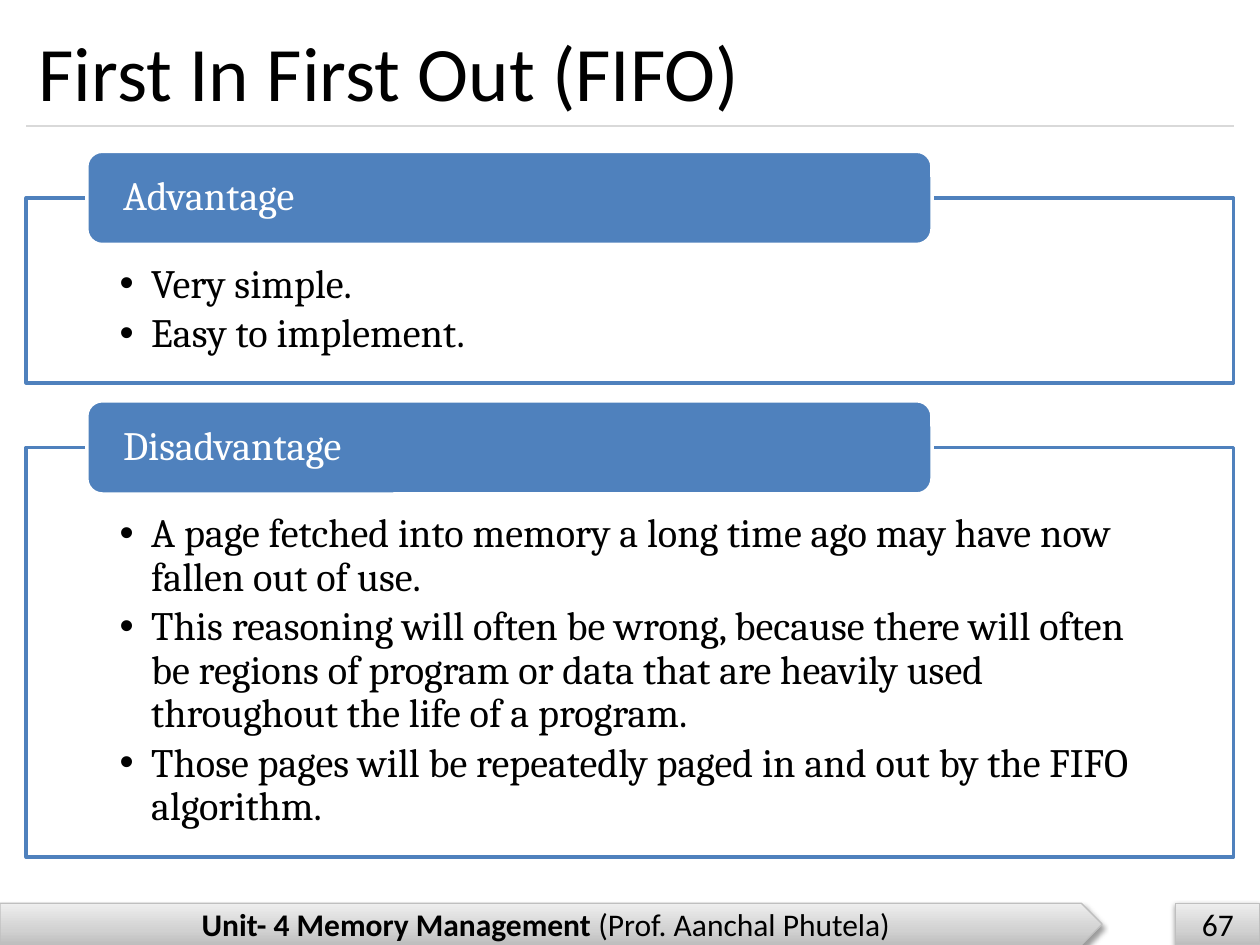
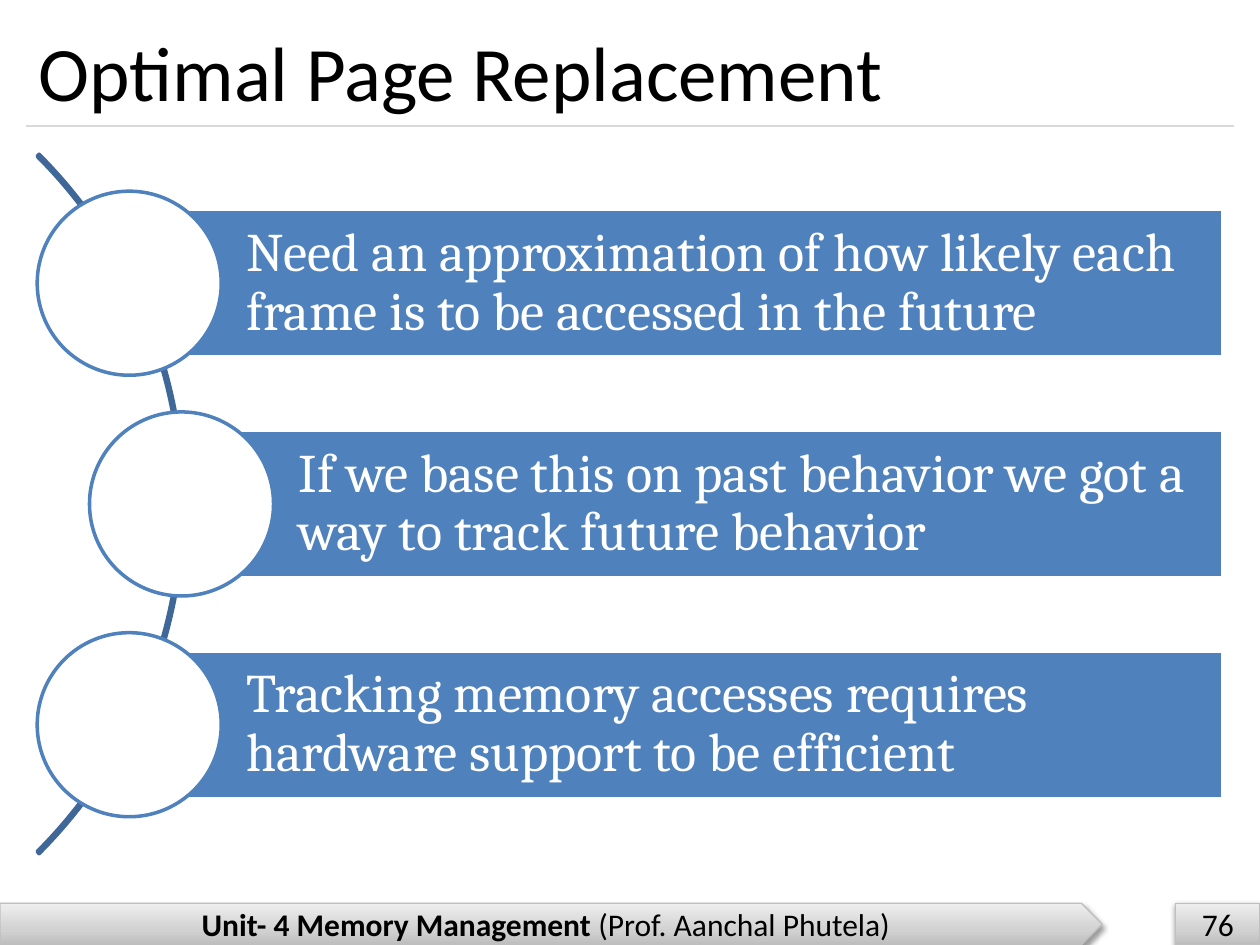
from math import sqrt

from lxml.etree import SubElement
from pptx import Presentation
from pptx.dml.color import RGBColor
from pptx.enum.shapes import MSO_CONNECTOR, MSO_SHAPE as Shape
from pptx.enum.text import MSO_ANCHOR as Anchor, PP_ALIGN as Align
from pptx.oxml.ns import qn
from pptx.util import Cm, Pt

# Content
FOOTER = [("Unit- 4 Memory Management ", True), ("(Prof. Aanchal Phutela)", False)]
FIFO = {
    "title": "First In First Out (FIFO)",
    "page": 67,
    # heading, frame height in cm, points
    "groups": [
        ("Advantage", 3.73, ["Very simple.", "Easy to implement."]),
        ("Disadvantage", 8.26, [
            "A page fetched into memory a long time ago may have now "
            "fallen out of use.",
            "This reasoning will often be wrong, because there will often "
            "be regions of program or data that are heavily used "
            "throughout the life of a program.",
            "Those pages will be repeatedly paged in and out by the FIFO "
            "algorithm.",
        ]),
    ],
}
OPTIMAL = {
    "title": "Optimal Page Replacement",
    "page": 76,
    "steps": [
        "Need an approximation of how likely each frame is to be accessed in the future",
        "If we base this on past behavior we got a way to track future behavior",
        "Tracking memory accesses requires hardware support to be efficient",
    ],
}

# Shared look
BLACK = RGBColor(0x00, 0x00, 0x00)
WHITE = RGBColor(0xFF, 0xFF, 0xFF)
BLUE = RGBColor(0x4F, 0x81, 0xBD)
DARK_BLUE = RGBColor(0x3F, 0x67, 0x97)
RULE_GREY = RGBColor(0xD9, 0xD9, 0xD9)
EDGE_GREY = RGBColor(0xBF, 0xBF, 0xBF)
FOOTER_STOPS = [(0, "BDBDBD"), (35, "D1D1D1"), (100, "EEEEEE")]

TITLE_FONT = dict(name="Calibri", size=Pt(44), color=BLACK)
FOOTER_FONT = dict(name="Calibri", size=Pt(18), color=BLACK)
POINT_FONT = dict(name="Cambria", size=Pt(23), color=BLACK)
HEADING_FONT = dict(POINT_FONT, color=WHITE)
STEP_FONT = dict(HEADING_FONT, size=Pt(31))

# Shared measures, in cm
LEFT, WIDTH = 0.53, 24.34
FOOTER_TOP, FOOTER_HEIGHT = 18.21, 0.84


def add_run(p, text, style, bold=False):
    r = p.add_run()
    r.text = text
    r.font.bold = bold
    for name, value in style.items():
        if name == "color":
            r.font.color.rgb = value
        else:
            setattr(r.font, name, value)


def set_frame(s, anchor=Anchor.MIDDLE, insets=(0.25, 0.13, 0.25, 0.13)):
    tf = s.text_frame
    tf.word_wrap = True
    tf.vertical_anchor = anchor
    for side, value in zip(("left", "top", "right", "bottom"), insets):
        setattr(tf, f"margin_{side}", Cm(value))
    return tf


def write(s, text, style, **frame):
    p = set_frame(s, **frame).paragraphs[0]
    p.alignment = Align.LEFT
    p.line_spacing = 0.9
    add_run(p, text, style)


def write_bullets(s, points, style, **frame):
    tf = set_frame(s, **frame)
    for i, text in enumerate(points):
        p = tf.add_paragraph() if i else tf.paragraphs[0]
        p.alignment = Align.LEFT
        p.line_spacing = 0.9
        p.space_after = Pt(3.5)
        pPr = p._p.get_or_add_pPr()
        pPr.set("marL", str(Cm(0.64)))
        pPr.set("indent", str(-Cm(0.64)))
        SubElement(pPr, qn("a:buFont"), typeface="Arial")
        SubElement(pPr, qn("a:buChar"), char="•")
        add_run(p, text, style)


def add_box(slide, kind, x, y, w, h, fill, line, line_width=2):
    s = slide.shapes.add_shape(kind, Cm(x), Cm(y), Cm(w), Cm(h))
    s.shadow.inherit = False
    if fill is not None:
        s.fill.solid()
        s.fill.fore_color.rgb = fill
    s.line.color.rgb = line
    s.line.width = Pt(line_width)
    return s


def add_footer_band(slide, kind, x, w, runs):
    s = add_box(slide, kind, x, FOOTER_TOP, w, FOOTER_HEIGHT, None, EDGE_GREY, 0.75)
    # Three-stop gradient, dark at the bottom
    s.fill.gradient()
    s.fill.gradient_angle = 90
    spPr = s._element.spPr
    stops = spPr.find(qn("a:gradFill")).find(qn("a:gsLst"))
    for stop in list(stops):
        stops.remove(stop)
    for position, color in FOOTER_STOPS:
        stop = SubElement(stops, qn("a:gs"), pos=str(position * 1000))
        SubElement(stop, qn("a:srgbClr"), val=color)
    # Soft shadow below
    shadow = SubElement(spPr.find(qn("a:effectLst")), qn("a:outerShdw"),
                        blurRad=str(Pt(3.1)), dist=str(Pt(1.6)),
                        dir="5400000", rotWithShape="0")
    color = SubElement(shadow, qn("a:srgbClr"), val="000000")
    SubElement(color, qn("a:alpha"), val="38000")
    p = set_frame(s).paragraphs[0]
    p.alignment = Align.CENTER
    for text, bold in runs:
        add_run(p, text, FOOTER_FONT, bold)


def add_base(prs, title, page):
    slide = prs.slides.add_slide(prs.slide_layouts[6])
    add_footer_band(slide, Shape.PENTAGON, 0, 22.22, FOOTER)
    add_footer_band(slide, Shape.RECTANGLE, 23.7, 1.7, [(str(page), False)])
    # Rule under the title
    rule = slide.shapes.add_connector(MSO_CONNECTOR.STRAIGHT, Cm(LEFT), Cm(2.54),
                                      Cm(LEFT + WIDTH), Cm(2.54))
    rule.line.color.rgb = RULE_GREY
    rule.line.width = Pt(0.75)
    SubElement(rule._element.spPr, qn("a:effectLst"))
    # Title
    s = slide.shapes.add_textbox(Cm(LEFT), Cm(0.3), Cm(WIDTH), Cm(2.24))
    add_run(set_frame(s).paragraphs[0], title, TITLE_FONT)
    return slide


def build_fifo(prs):
    slide = add_base(prs, FIFO["title"], FIFO["page"])
    top, heading_height, gap = 3.05, 1.88, 0.36
    for heading, height, points in FIFO["groups"]:
        # Each heading sits astride the top edge of its frame
        frame_top = top + heading_height / 2
        s = add_box(slide, Shape.RECTANGLE, LEFT, frame_top, WIDTH, height, WHITE, BLUE)
        write_bullets(s, points, POINT_FONT, anchor=Anchor.TOP,
                      insets=(1.88, 1.32, 1.88, 0.46))
        s = add_box(slide, Shape.ROUNDED_RECTANGLE, 1.75, top, 17.04, heading_height,
                    BLUE, WHITE)
        write(s, heading, HEADING_FONT, insets=(0.64, 0, 0.64, 0))
        top = frame_top + height + gap


def build_optimal(prs):
    slide = add_base(prs, OPTIMAL["title"], OPTIMAL["page"])
    center_x, center_y, radius = -6.26, 10.16, 9.97
    pitch, bar_height, bar_right, knot = 4.45, 2.97, 24.66, 3.71
    # Arc that the circles follow
    arc = add_box(slide, Shape.BLOCK_ARC, center_x - radius, center_y - radius,
                  2 * radius, 2 * radius, DARK_BLUE, DARK_BLUE)
    for i, value in enumerate((189, 27, 0.003)):
        arc.adjustments[i] = value
    # Bars start at the middle of their circle, on the arc
    for i, text in enumerate(OPTIMAL["steps"]):
        dy = (i - 1) * pitch
        x = center_x + sqrt((radius - 0.05) ** 2 - dy ** 2)
        y = center_y + dy
        s = add_box(slide, Shape.RECTANGLE, x, y - bar_height / 2, bar_right - x,
                    bar_height, BLUE, WHITE)
        write(s, text, STEP_FONT, insets=(2.36, 0.23, 0.23, 0.23))
        add_box(slide, Shape.OVAL, x - knot / 2, y - knot / 2, knot, knot, WHITE, BLUE)


def main():
    prs = Presentation()
    prs.slide_width, prs.slide_height = Cm(25.4), Cm(19.05)
    build_fifo(prs)
    build_optimal(prs)
    prs.save("out.pptx")


if __name__ == "__main__":
    main()
